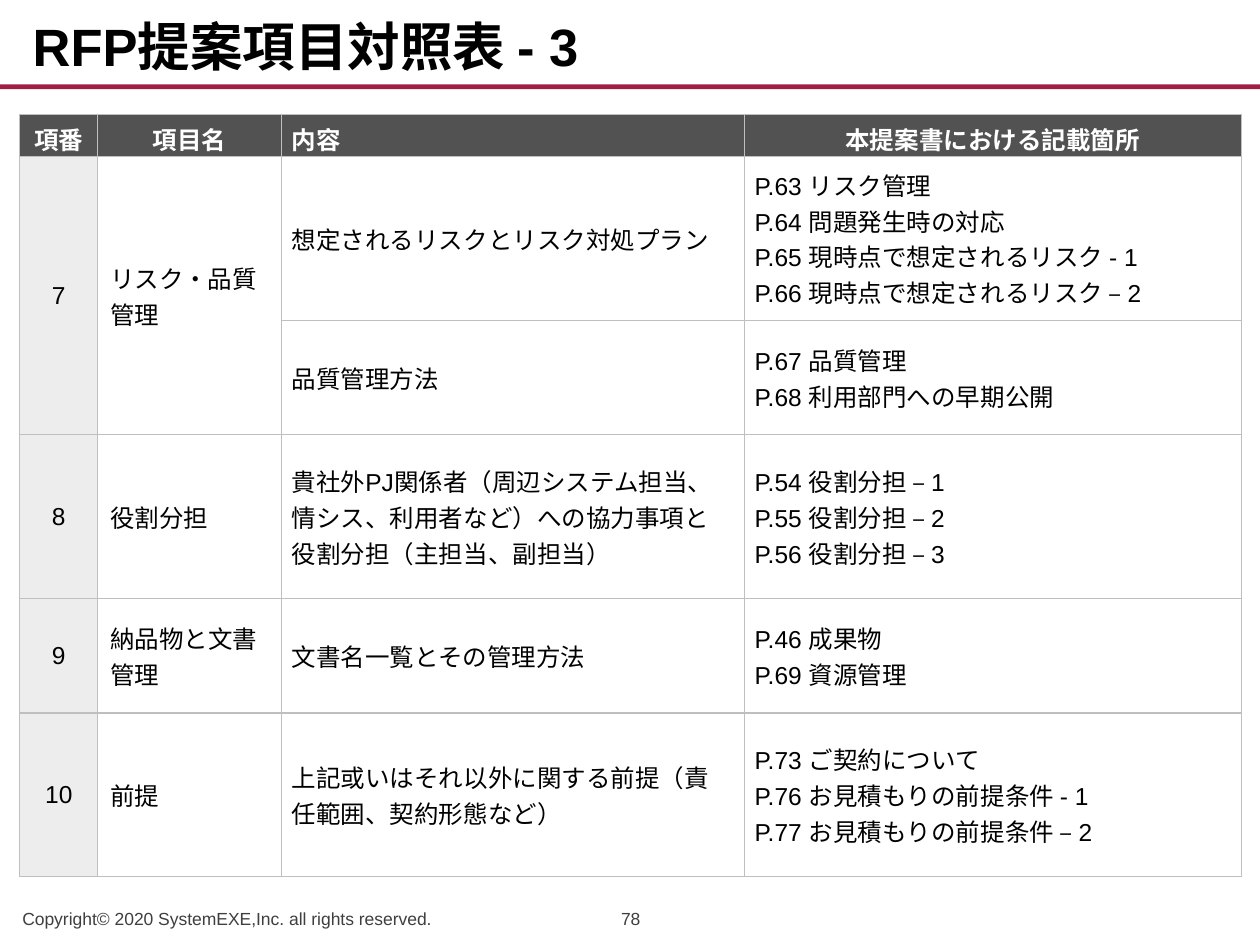
"""Build the RFP comparison table slide."""
from dataclasses import dataclass

from lxml import etree
from pptx import Presentation
from pptx.dml.color import RGBColor
from pptx.enum import shapes, text
from pptx.oxml import ns
from pptx.util import Cm, Pt

COLORS = {
    "rule": "A01D45",
    "header": "525252",
    "number": "EDEDED",
    "white": "FFFFFF",
    "border": "BFBFBF",
    "black": "000000",
    "footer": "3F3F3F",
}
FONT = "Arial"
LEFT, CENTER = text.PP_ALIGN.LEFT, text.PP_ALIGN.CENTER


@dataclass
class Style:
    size: float
    color: str
    bold: bool = False
    align: text.PP_ALIGN = LEFT
    line_spacing: float | None = None


@dataclass
class Label:
    content: str
    left: float
    top: float
    width: float
    height: float
    style: Style


@dataclass
class Margins:
    left: float
    right: float
    vertical: float


@dataclass
class Entry:
    content: list[str]
    pages: list[str]
    height: float


@dataclass
class Item:
    number: str
    name: str
    entries: list[Entry]


TALL, SHORT, HEADER_HEIGHT = 3.3, 2.31, 0.84
COLUMN_WIDTHS = [1.57, 3.71, 9.33, 10.01]
HEADERS = [
    ("項番", CENTER),
    ("項目名", CENTER),
    ("内容", LEFT),
    ("本提案書における記載箇所", CENTER),
]
ITEMS = [
    Item("7", "リスク・品質管理", [
        Entry(["想定されるリスクとリスク対処プラン"],
              ["P.63 リスク管理", "P.64 問題発生時の対応",
               "P.65 現時点で想定されるリスク - 1",
               "P.66 現時点で想定されるリスク – 2"], TALL),
        Entry(["品質管理方法"], ["P.67 品質管理", "P.68 利用部門への早期公開"], SHORT),
    ]),
    Item("8", "役割分担", [
        Entry(["貴社外PJ関係者（周辺システム担当、情シス、利用者など）への協力事項と",
               "役割分担（主担当、副担当）"],
              [f"P.{page} 役割分担 – {part}" for part, page in enumerate(range(54, 57), 1)],
              TALL),
    ]),
    Item("9", "納品物と文書管理", [
        Entry(["文書名一覧とその管理方法"], ["P.46 成果物", "P.69 資源管理"], SHORT),
    ]),
    Item("10", "前提", [
        Entry(["上記或いはそれ以外に関する前提（責任範囲、契約形態など）"],
              ["P.73 ご契約について", "P.76 お見積もりの前提条件 - 1",
               "P.77 お見積もりの前提条件 – 2"], TALL),
    ]),
]
LABELS = [
    Label("RFP提案項目対照表 - 3", 0.41, 0.1, 24.61, 1.6,
          Style(30, "black", bold=True, line_spacing=0.9)),
    Label("Copyright© 2020 SystemEXE,Inc. all rights reserved.",
          0.2, 18.06, 10.8, 0.79, Style(10, "footer")),
    Label("78", 11.71, 18.06, 2.01, 0.79, Style(10, "footer", align=CENTER)),
]
HEADER_MARGINS = Margins(0.2, 0.2, 0.13)
NAME_MARGINS = Margins(0.25, 0.25, 0.1)
DETAIL_MARGINS = Margins(0.2, 0.61, 0.1)


def rgb(name: str) -> RGBColor:
    """Return the named colour."""
    return RGBColor.from_string(COLORS[name])


def write(frame, lines: list[str], style: Style) -> None:
    """Write each line as one paragraph."""
    for index, line in enumerate(lines):
        paragraph = frame.add_paragraph() if index else frame.paragraphs[0]
        paragraph.alignment = style.align
        if style.line_spacing:
            paragraph.line_spacing = style.line_spacing
        run = paragraph.add_run()
        run.text = line
        run.font.name = FONT
        run.font.size = Pt(style.size)
        run.font.bold = style.bold
        run.font.color.rgb = rgb(style.color)


def add_label(slide, label: Label) -> None:
    """Add a bottom-anchored text box."""
    box = slide.shapes.add_textbox(
        Cm(label.left), Cm(label.top), Cm(label.width), Cm(label.height))
    frame = box.text_frame
    frame.word_wrap = True
    frame.vertical_anchor = text.MSO_ANCHOR.BOTTOM
    write(frame, [label.content], label.style)


def add_rule(slide) -> None:
    """Add the coloured band under the title."""
    shape = slide.shapes.add_shape(
        shapes.MSO_SHAPE.RECTANGLE, 0, Cm(1.7), Cm(25.4), Cm(0.1))
    shape.shadow.inherit = False
    shape.fill.solid()
    shape.fill.fore_color.rgb = rgb("rule")
    shape.line.fill.background()


def format_cell(cell, fill: str, margins: Margins) -> None:
    """Set the borders, fill, margins and anchor of a cell."""
    properties = cell._tc.get_or_add_tcPr()
    for side in ("L", "R", "T", "B"):
        line = etree.SubElement(properties, ns.qn(f"a:ln{side}"), w=str(Pt(0.75)))
        solid = etree.SubElement(line, ns.qn("a:solidFill"))
        etree.SubElement(solid, ns.qn("a:srgbClr"), val=COLORS["border"])
    cell.fill.solid()
    cell.fill.fore_color.rgb = rgb(fill)
    cell.margin_left, cell.margin_right = Cm(margins.left), Cm(margins.right)
    cell.margin_top = cell.margin_bottom = Cm(margins.vertical)
    cell.vertical_anchor = text.MSO_ANCHOR.MIDDLE


def add_comparison_table(slide) -> None:
    """Add the table, merging number and name over an item's entries."""
    heights = [HEADER_HEIGHT] + [entry.height for item in ITEMS for entry in item.entries]
    table = slide.shapes.add_table(
        len(heights), len(COLUMN_WIDTHS), Cm(0.4), Cm(2.3),
        Cm(sum(COLUMN_WIDTHS)), Cm(sum(heights))).table
    table.horz_banding = False
    for column, width in zip(table.columns, COLUMN_WIDTHS):
        column.width = Cm(width)
    for row, height in zip(table.rows, heights):
        row.height = Cm(height)

    for column, (title, align) in enumerate(HEADERS):
        cell = table.cell(0, column)
        format_cell(cell, "header", HEADER_MARGINS)
        write(cell.text_frame, [title], Style(14, "white", bold=True, align=align))

    body, centered = Style(14, "black"), Style(14, "black", align=CENTER)
    top = 1
    for item in ITEMS:
        for row, entry in enumerate(item.entries, top):
            format_cell(table.cell(row, 0), "number", NAME_MARGINS)
            format_cell(table.cell(row, 1), "white", NAME_MARGINS)
            for column, lines in enumerate((entry.content, entry.pages), 2):
                cell = table.cell(row, column)
                format_cell(cell, "white", DETAIL_MARGINS)
                write(cell.text_frame, lines, body)
        bottom = top + len(item.entries) - 1
        for column, (value, style) in enumerate(((item.number, centered), (item.name, body))):
            cell = table.cell(top, column)
            if bottom > top:
                cell.merge(table.cell(bottom, column))
            write(cell.text_frame, [value], style)
        top = bottom + 1


def main() -> None:
    """Build and save the presentation."""
    presentation = Presentation()
    presentation.slide_width, presentation.slide_height = Cm(25.4), Cm(19.05)
    slide = presentation.slides.add_slide(presentation.slide_layouts[6])
    add_rule(slide)
    for label in LABELS:
        add_label(slide, label)
    add_comparison_table(slide)
    presentation.save("out.pptx")


if __name__ == "__main__":
    main()
